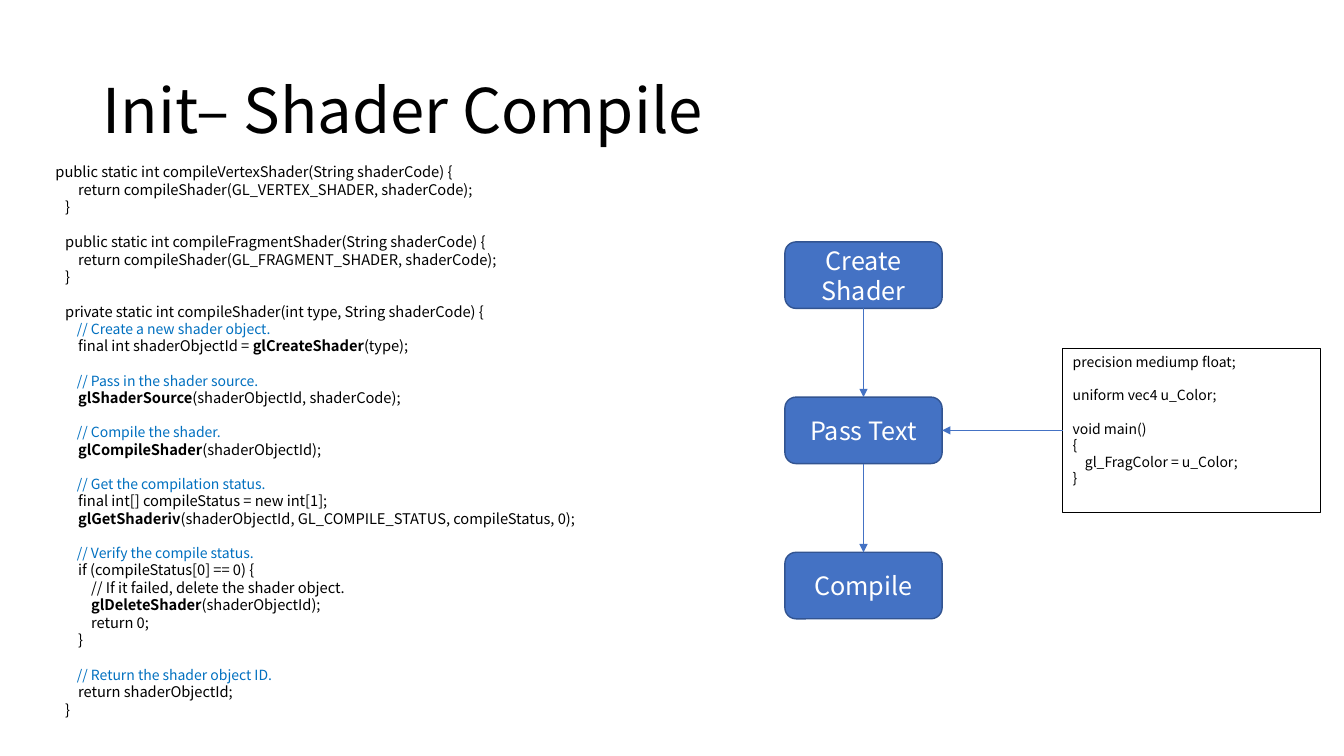
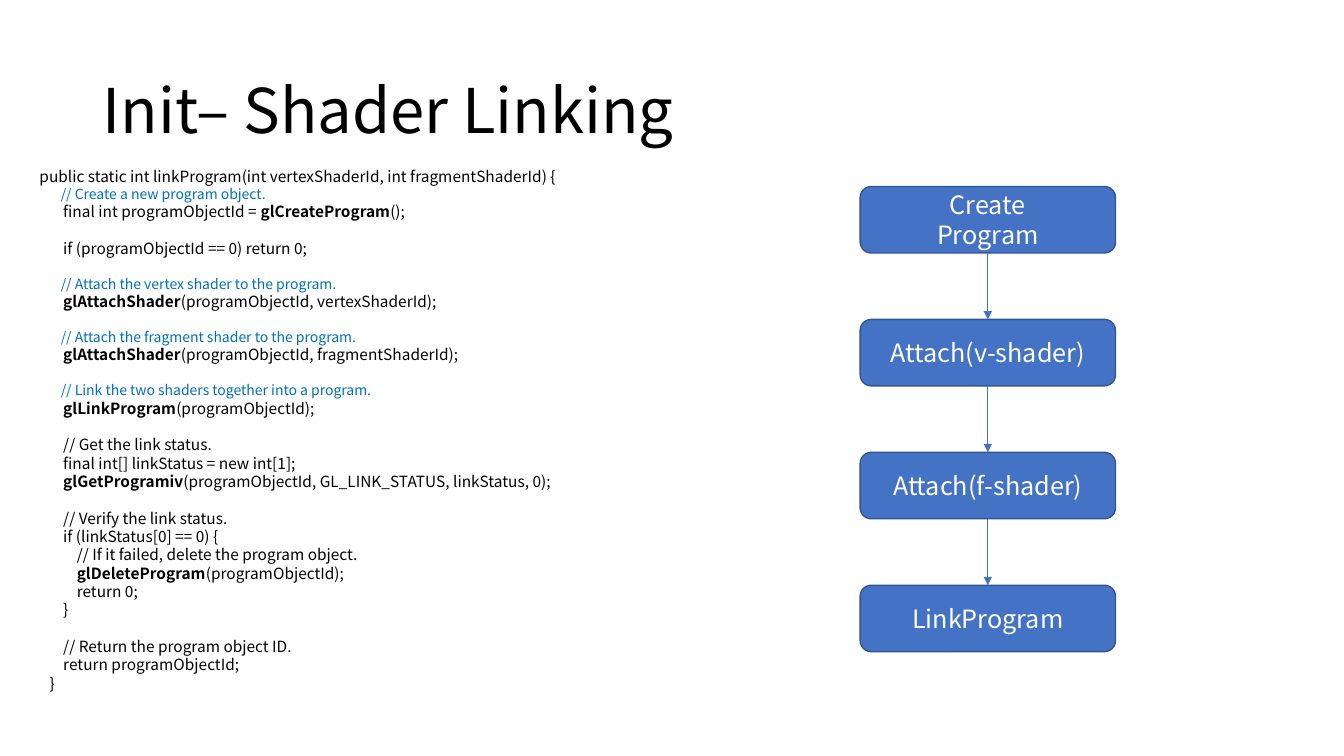
from itertools import pairwise

from lxml.etree import SubElement
from pptx import Presentation
from pptx.dml.color import RGBColor
from pptx.enum.shapes import MSO_CONNECTOR, MSO_SHAPE
from pptx.enum.text import MSO_ANCHOR, PP_ALIGN
from pptx.oxml.ns import qn
from pptx.util import Inches, Pt

# Code listings: "~" starts a highlighted comment, backticks enclose bold calls
COMPILE_ENTRY_POINTS = """
 public static int compileVertexShader(String shaderCode) {
        return compileShader(GL_VERTEX_SHADER, shaderCode);
    }

    public static int compileFragmentShader(String shaderCode) {
        return compileShader(GL_FRAGMENT_SHADER, shaderCode);
    }
"""

COMPILE_CALLS = """
    private static int compileShader(int type, String shaderCode) {
        ~// Create a new shader object.
        final int shaderObjectId = `glCreateShader`(type);

        ~// Pass in the shader source.
        `glShaderSource`(shaderObjectId, shaderCode);

        ~// Compile the shader.
        `glCompileShader`(shaderObjectId);
"""

COMPILE_CHECKS = """
        ~// Get the compilation status.
        final int[] compileStatus = new int[1];
        `glGetShaderiv`(shaderObjectId, GL_COMPILE_STATUS, compileStatus, 0);

        ~// Verify the compile status.
        if (compileStatus[0] == 0) {
            // If it failed, delete the shader object.
            `glDeleteShader`(shaderObjectId);
            return 0;
        }

        ~// Return the shader object ID.
        return shaderObjectId;
    }
"""

FRAGMENT_SHADER = """
precision mediump float;

uniform vec4 u_Color;

void main()
{
    gl_FragColor = u_Color;
}
"""

LINK_CALLS = """
 public static int linkProgram(int vertexShaderId, int fragmentShaderId) {
        ~// Create a new program object.
        final int programObjectId = `glCreateProgram`();

        if (programObjectId == 0) return 0;

        ~// Attach the vertex shader to the program.
        `glAttachShader`(programObjectId, vertexShaderId);

        ~// Attach the fragment shader to the program.
        `glAttachShader`(programObjectId, fragmentShaderId);

        ~// Link the two shaders together into a program.
        `glLinkProgram`(programObjectId);
"""

LINK_CHECKS = """
        // Get the link status.
        final int[] linkStatus = new int[1];
        `glGetProgramiv`(programObjectId, GL_LINK_STATUS, linkStatus, 0);

        // Verify the link status.
        if (linkStatus[0] == 0) {
            // If it failed, delete the program object.
            `glDeleteProgram`(programObjectId);
            return 0;
        }

        // Return the program object ID.
        return programObjectId;
    }
"""


def color(hex_code):
    return RGBColor.from_string(hex_code)


class Deck:
    """Shared style and the current slide; lengths are percent of the slide."""

    FONT = "Noto Sans CJK KR"
    INK, PAPER, COMMENT = "000000", "FFFFFF", "0070C0"
    ACCENT, ACCENT_EDGE = "4472C4", "325491"
    LINE_HEIGHT = 1.19  # line pitch per point of text
    SPACE_WIDTH = 0.22  # width of one code space per point of text
    STEP_HEIGHT = 8.8

    def __init__(self):
        self.prs = Presentation()
        self.prs.slide_width = Inches(13.33)
        self.prs.slide_height = Inches(7.5)
        self.slide = None

    def place(self, left, top, width, height):
        across, down = self.prs.slide_width / 100, self.prs.slide_height / 100
        return [round(n) for n in
                (left * across, top * down, width * across, height * down)]

    def style(self, run, size, ink, bold=False):
        run.font.name = self.FONT
        run.font.size = Pt(size)
        run.font.bold = bold
        run.font.color.rgb = color(ink)

    def text_box(self, area):
        box = self.slide.shapes.add_textbox(*self.place(*area))
        box.text_frame.word_wrap = True
        return box

    def new_slide(self, title):
        self.slide = self.prs.slides.add_slide(self.prs.slide_layouts[6])
        frame = self.text_box((6.9, 5.33, 86.2, 19.33)).text_frame
        frame.vertical_anchor = MSO_ANCHOR.MIDDLE
        frame.text = title
        frame.paragraphs[0].line_spacing = 0.9
        self.style(frame.paragraphs[0].runs[0], 44, self.INK)

    def code(self, area, size, *sections):
        """Indents become margins and blank lines become space before."""
        box = self.text_box(area)
        frame = box.text_frame
        line, gap = frame.paragraphs[0], 0
        listing = "\n\n".join(section.strip("\n") for section in sections)
        for number, source in enumerate(listing.split("\n")):
            content = source.lstrip()
            if not content:
                gap = size * self.LINE_HEIGHT
                continue
            if number:
                line = frame.add_paragraph()
            is_comment = content.startswith("~")
            ink, points = (self.COMMENT, 10) if is_comment else (self.INK, size)
            depth = (len(source) - len(content)) * self.SPACE_WIDTH * points
            margins = line._p.get_or_add_pPr()
            margins.set("marL", str(Pt(depth)))
            margins.set("indent", "0")
            line.space_before = Pt(gap)
            line.line_spacing = Pt(points * self.LINE_HEIGHT)
            gap = 0
            for part, words in enumerate(content.lstrip("~").split("`")):
                if words:
                    run = line.add_run()
                    run.text = words
                    self.style(run, points, ink, bold=part % 2 == 1)
        return box

    def outline(self, box):
        box.line.color.rgb = color(self.INK)
        box.line.width = Pt(0.75)

    def step(self, left, top, width, label):
        box = self.slide.shapes.add_shape(
            MSO_SHAPE.ROUNDED_RECTANGLE,
            *self.place(left, top, width, self.STEP_HEIGHT))
        box.shadow.inherit = False
        box.fill.solid()
        box.fill.fore_color.rgb = color(self.ACCENT)
        box.line.color.rgb = color(self.ACCENT_EDGE)
        box.line.width = Pt(1)
        frame = box.text_frame
        frame.text = label
        frame.vertical_anchor = MSO_ANCHOR.MIDDLE
        for line in frame.paragraphs:
            line.alignment = PP_ALIGN.CENTER
            if len(frame.paragraphs) > 1:
                line.line_spacing = Pt(18 * self.LINE_HEIGHT)
            self.style(line.runs[0], 18, self.PAPER)
        return box

    def arrow(self, source, source_site, target, target_site):
        link = self.slide.shapes.add_connector(
            MSO_CONNECTOR.STRAIGHT, 0, 0, 0, 0)
        link.begin_connect(source, source_site)
        link.end_connect(target, target_site)
        link.line.color.rgb = color(self.ACCENT)
        link.line.width = Pt(0.5)
        SubElement(link.line._get_or_add_ln(), qn("a:tailEnd"), type="triangle")
        SubElement(link._element.spPr, qn("a:effectLst"))

    def flow(self, left, top, width, pitch, labels):
        """A column of steps joined by downward arrows."""
        steps = [self.step(left, top + row * pitch, width, label)
                 for row, label in enumerate(labels)]
        for upper, lower in pairwise(steps):
            self.arrow(upper, 2, lower, 0)
        return steps


def main():
    deck = Deck()

    # Compiling the shaders
    deck.new_slide("Init– Shader Compile")
    deck.code((3.15, 20.93, 47.3, 76.8), 10.5,
              COMPILE_ENTRY_POINTS, COMPILE_CALLS, COMPILE_CHECKS)
    _, pass_text, _ = deck.flow(58.4, 32, 11.7, 20.53,
                                ["Create\nShader", "Pass Text", "Compile"])
    fragment_shader = deck.code((79.07, 46.13, 19.2, 21.6), 10, FRAGMENT_SHADER)
    deck.outline(fragment_shader)
    deck.arrow(fragment_shader, 1, pass_text, 3)

    # Linking the program
    deck.new_slide("Init– Shader Linking")
    deck.code((1.95, 21.47, 56.25, 72.93), 11, LINK_CALLS, LINK_CHECKS)
    deck.flow(64, 24.67, 19, 17.58, ["Create\nProgram", "Attach(v-shader)",
                                     "Attach(f-shader)", "LinkProgram"])

    deck.prs.save("out.pptx")


if __name__ == "__main__":
    main()
